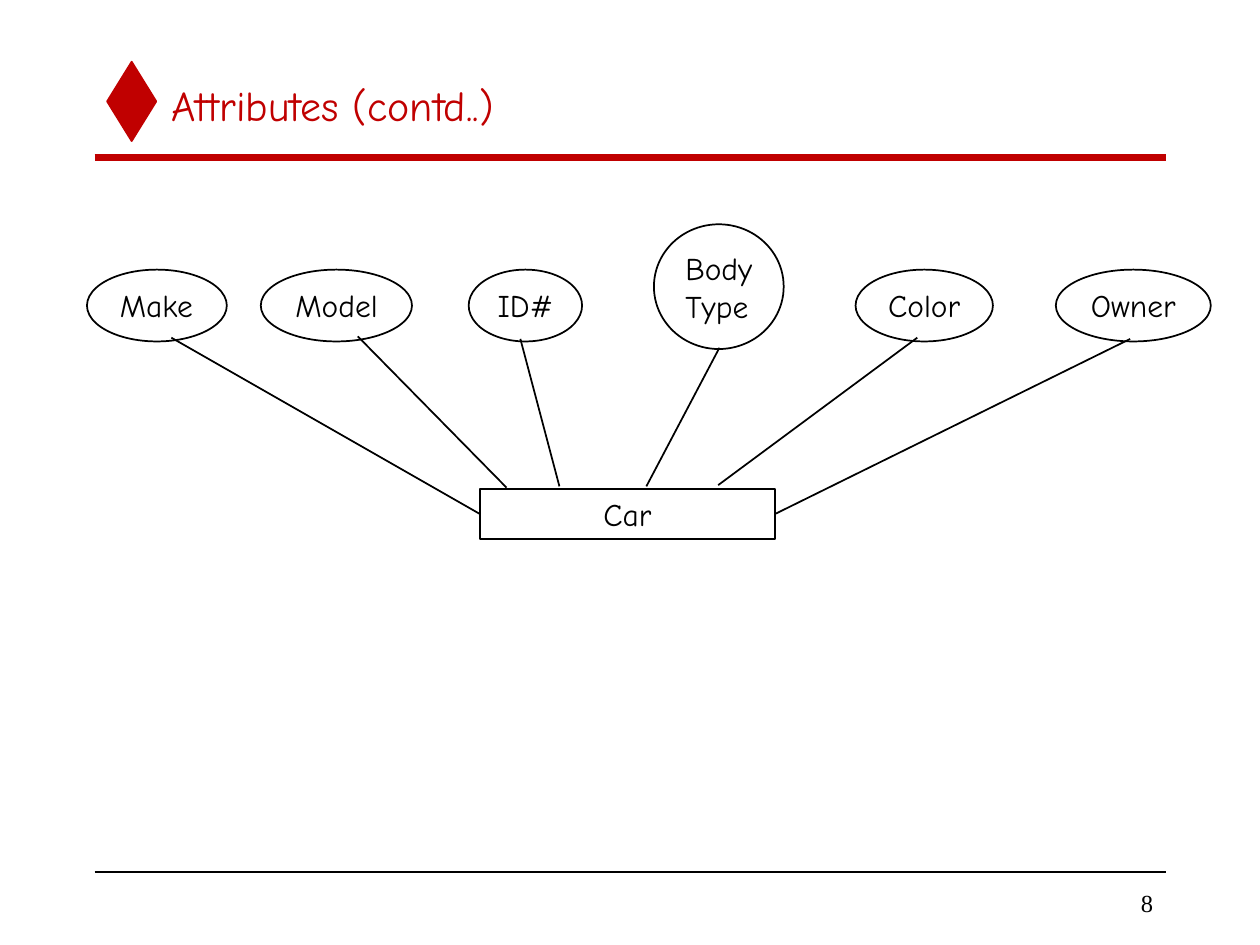
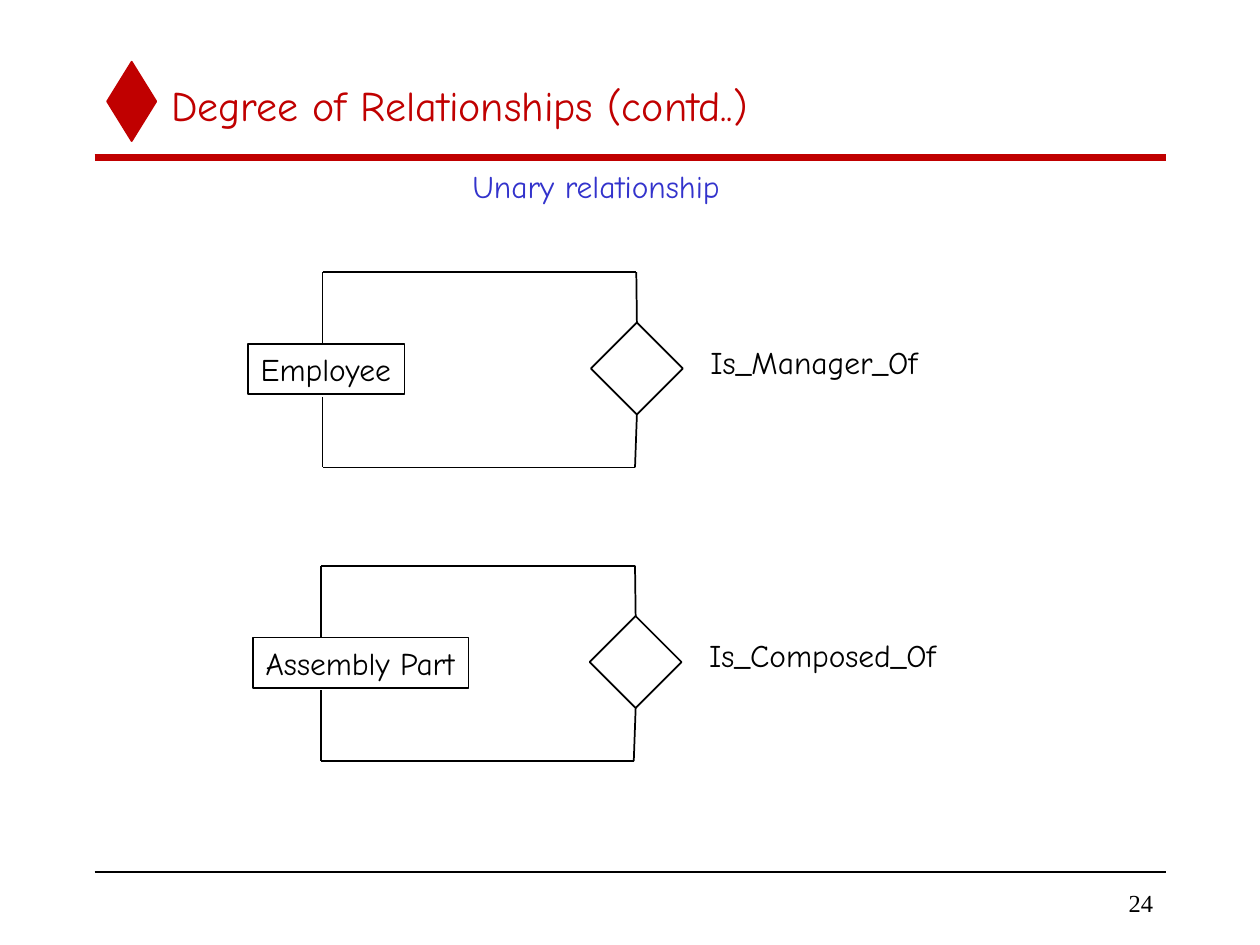
from dataclasses import dataclass
from typing import Any, NamedTuple, Optional

import lxml.etree
import pptx
import pptx.dml.color
import pptx.enum.shapes
import pptx.enum.text
import pptx.oxml.ns
import pptx.util

Shape = pptx.enum.shapes.MSO_SHAPE
Align = pptx.enum.text.PP_ALIGN
Anchor = pptx.enum.text.MSO_ANCHOR
AutoSize = pptx.enum.text.MSO_AUTO_SIZE

EMU_PER_PX = 9144  # 100 px to the inch
TOP, LEFT, BOTTOM, RIGHT = range(4)


def px(length: int) -> pptx.util.Emu:
    return pptx.util.Emu(length * EMU_PER_PX)


class TextStyle(NamedTuple):
    font: str
    size: int
    color: str


@dataclass(frozen=True)
class Theme:
    accent: str = "C00000"
    ink: str = "000000"
    thin: int = 1
    thick: int = 4
    title: TextStyle = TextStyle("Comic Neue", 24, "C00000")
    body: TextStyle = TextStyle("Comic Neue", 18, "000000")
    heading: TextStyle = TextStyle("Comic Neue", 18, "3333CC")
    page: TextStyle = TextStyle("Times New Roman", 14, "000000")


THEME = Theme()


class Point(NamedTuple):
    x: int
    y: int


class Box(NamedTuple):
    left: int
    top: int
    width: int
    height: int


class Attribute(NamedTuple):
    name: str
    oval: Box
    line_start: Point
    line_end: Point
    car_side: Optional[int] = None


class UnaryRelationship(NamedTuple):
    entity: str
    entity_left: int
    entity_width: int
    relation: str
    relation_width: int
    corner: Point


OVAL_TOP, OVAL_HEIGHT = 214, 57
CAR = Box(381, 388, 234, 40)
ATTRIBUTES = [
    Attribute("Make", Box(69, OVAL_TOP, 111, OVAL_HEIGHT),
              Point(136, 268), Point(381, 408), LEFT),
    Attribute("Model", Box(207, OVAL_TOP, 120, OVAL_HEIGHT),
              Point(284, 267), Point(402, 387)),
    Attribute("ID#", Box(372, OVAL_TOP, 90, OVAL_HEIGHT),
              Point(413, 269), Point(444, 386)),
    Attribute("Body\nType", Box(519, 178, 103, 99),
              Point(571, 276), Point(513, 386)),
    Attribute("Color", Box(679, OVAL_TOP, 109, OVAL_HEIGHT),
              Point(728, 268), Point(570, 385)),
    Attribute("Owner", Box(838, OVAL_TOP, 123, OVAL_HEIGHT),
              Point(897, 269), Point(615, 408), RIGHT),
]
RELATIONSHIPS = [
    UnaryRelationship("Employee", 197, 124, "Is_Manager_Of", 184, Point(256, 216)),
    UnaryRelationship("Assembly Part", 201, 171, "Is_Composed_Of", 200, Point(255, 449)),
]


def rgb(color: str) -> pptx.dml.color.RGBColor:
    return pptx.dml.color.RGBColor.from_string(color)


def write(shape: Any, text: str, style: TextStyle, align: Any = Align.LEFT,
          anchor: Any = Anchor.TOP, wrap: bool = False, grow: bool = True) -> None:
    frame = shape.text_frame
    frame.text = text
    frame.word_wrap = wrap
    frame.vertical_anchor = anchor
    frame.auto_size = AutoSize.SHAPE_TO_FIT_TEXT if grow else AutoSize.NONE
    for paragraph in frame.paragraphs:
        paragraph.alignment = align
        paragraph.font.name = style.font
        paragraph.font.size = pptx.util.Pt(style.size)
        paragraph.font.color.rgb = rgb(style.color)


def add_text(slide: Any, box: Box, text: str, style: TextStyle, **layout: Any) -> None:
    write(slide.shapes.add_textbox(*map(px, box)), text, style, **layout)


def add_outline(slide: Any, kind: Any, box: Box, color: str = THEME.ink,
                fill: Optional[str] = None) -> Any:
    shape = slide.shapes.add_shape(kind, *map(px, box))
    shape.shadow.inherit = False
    if fill:
        shape.fill.solid()
        shape.fill.fore_color.rgb = rgb(fill)
    else:
        shape.fill.background()
    shape.line.color.rgb = rgb(color)
    shape.line.width = pptx.util.Pt(THEME.thin)
    return shape


def add_line(slide: Any, start: Point, end: Point, color: str = THEME.ink,
             width: int = THEME.thin) -> Any:
    line = slide.shapes.add_connector(
        pptx.enum.shapes.MSO_CONNECTOR.STRAIGHT, *map(px, (*start, *end)))
    line.line.color.rgb = rgb(color)
    line.line.width = pptx.util.Pt(width)
    lxml.etree.SubElement(line._element.spPr, pptx.oxml.ns.qn("a:effectLst"))
    return line


def add_framed_slide(deck: Any, title: str, page: int) -> Any:
    """Add a slide with the shared title, rules and page number."""
    slide = deck.slides.add_slide(deck.slide_layouts[6])
    add_outline(slide, Shape.DIAMOND, Box(85, 49, 39, 63), THEME.accent, THEME.accent)
    add_line(slide, Point(75, 125), Point(925, 125), THEME.accent, THEME.thick)
    add_line(slide, Point(75, 692), Point(925, 692))
    add_text(slide, Box(783, 700, 142, 33), str(page), THEME.page,
             align=Align.RIGHT, anchor=Anchor.MIDDLE, wrap=True, grow=False)
    add_text(slide, Box(126, 50, 800, 67), title, THEME.title,
             anchor=Anchor.MIDDLE, wrap=True, grow=False)
    return slide


def add_attributes_slide(deck: Any) -> None:
    slide = add_framed_slide(deck, "Attributes (contd..)", 8)
    car = add_outline(slide, Shape.RECTANGLE, CAR)
    write(car, "Car", THEME.body, align=Align.CENTER, wrap=True)
    for attribute in ATTRIBUTES:
        oval = add_outline(slide, Shape.OVAL, attribute.oval)
        write(oval, attribute.name, THEME.body)
        oval.text_frame.margin_right = 0  # keeps each name on its line
        link = add_line(slide, attribute.line_start, attribute.line_end)
        if attribute.car_side is not None:
            link.end_connect(car, attribute.car_side)


def add_relationship(slide: Any, item: UnaryRelationship) -> None:
    """Draw an entity looped back to itself through a relationship diamond."""
    left, top = item.corner
    right, bottom = left + 249, top + 155
    entity_top = top + 57

    entity = add_outline(slide, Shape.RECTANGLE,
                         Box(item.entity_left, entity_top, item.entity_width, 40))
    write(entity, item.entity, THEME.body)
    diamond = add_outline(slide, Shape.DIAMOND, Box(left + 213, top + 40, 73, 73))

    add_line(slide, Point(left, entity_top), Point(left, top))
    add_line(slide, Point(left, entity_top + 42), Point(left, bottom))
    add_line(slide, Point(left, top), Point(right, top))
    add_line(slide, Point(left, bottom), Point(right - 1, bottom))
    upper = add_line(slide, Point(right, top), Point(right, top + 40))
    upper.end_connect(diamond, TOP)
    lower = add_line(slide, Point(right - 1, bottom), Point(right, top + 113))
    lower.end_connect(diamond, BOTTOM)

    add_text(slide, Box(left + 298, top + 51, item.relation_width, 40),
             item.relation, THEME.body)


def add_degree_slide(deck: Any) -> None:
    slide = add_framed_slide(deck, "Degree of Relationships (contd..)", 24)
    add_text(slide, Box(365, 128, 217, 40), "Unary relationship", THEME.heading)
    for relationship in RELATIONSHIPS:
        add_relationship(slide, relationship)


def main() -> None:
    deck = pptx.Presentation()
    deck.slide_width, deck.slide_height = px(1000), px(750)
    add_attributes_slide(deck)
    add_degree_slide(deck)
    deck.save("out.pptx")


if __name__ == "__main__":
    main()
